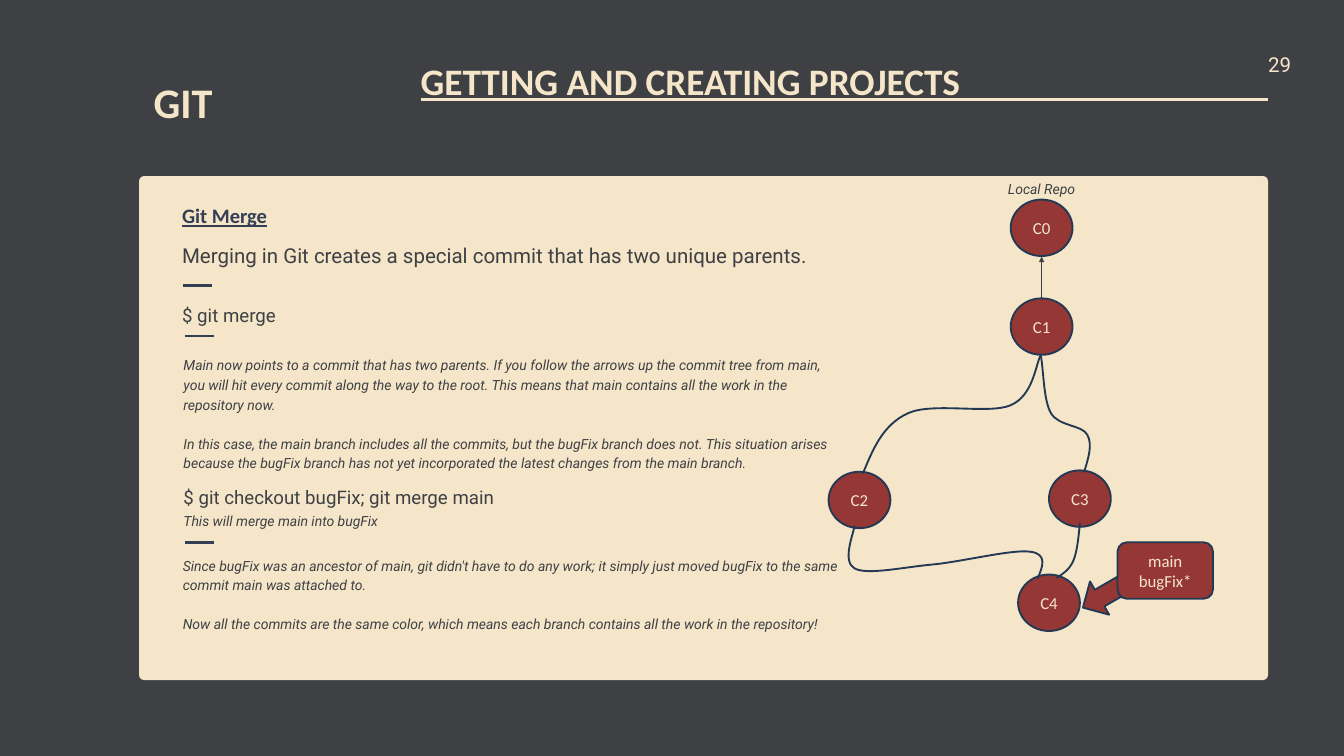
from dataclasses import dataclass

from lxml.etree import SubElement
from pptx import Presentation
from pptx.dml.color import RGBColor
from pptx.enum.shapes import MSO_CONNECTOR, MSO_SHAPE
from pptx.enum.text import MSO_ANCHOR, MSO_AUTO_SIZE, PP_ALIGN
from pptx.oxml.ns import qn
from pptx.util import Inches, Pt


@dataclass(frozen=True)
class Theme:
    dark: str = "3E4044"
    cream: str = "F5E6CA"
    navy: str = "343F56"
    outline: str = "233953"
    red: str = "953735"
    heading_font: str = "Calibri"
    body_font: str = "Roboto"
    topic_size: float = 45.1
    title_size: float = 40
    lead_size: float = 22
    command_size: float = 20
    node_size: float = 18
    note_size: float = 15


@dataclass(frozen=True)
class Box:
    """An area of the slide, in inches; inner() is relative to its corner."""
    left: float
    top: float
    width: float
    height: float

    def inner(self, x, y, width, height):
        return Box(self.left + x, self.top + y, width, height)

    def point(self, x, y):
        return Inches(self.left + x), Inches(self.top + y)

    @property
    def lengths(self):
        return [Inches(v) for v in (self.left, self.top, self.width, self.height)]


THEME = Theme()
PANEL = Box(2.07, 2.62, 16.8, 7.5)
NODE_WIDTH, NODE_HEIGHT = 0.92, 0.84
DASH_WIDTH = 0.43


def color(code):
    return RGBColor.from_string(code)


def write(frame, *lines, size, ink=THEME.dark, font=THEME.body_font, bold=False,
          italic=False, underline=False, align=PP_ALIGN.LEFT, spacing=None, gap=0):
    """Fill a text frame, one paragraph a line, with gap points between them."""
    frame.word_wrap = True
    for index, line in enumerate(lines):
        paragraph = frame.paragraphs[0] if index == 0 else frame.add_paragraph()
        paragraph.alignment = align
        if spacing:
            paragraph.line_spacing = Pt(spacing)
        paragraph.space_before = Pt(gap if index else 0)
        run = paragraph.add_run()
        run.text = line
        run.font.name, run.font.size = font, Pt(size)
        run.font.bold, run.font.italic, run.font.underline = bold, italic, underline
        run.font.color.rgb = color(ink)


def clear_margins(frame):
    frame.margin_left = frame.margin_top = frame.margin_right = frame.margin_bottom = 0
    frame.vertical_anchor = MSO_ANCHOR.TOP
    frame.auto_size = MSO_AUTO_SIZE.NONE


def add_text(slide, box, *lines, **text_format):
    frame = slide.shapes.add_textbox(*box.lengths).text_frame
    clear_margins(frame)
    write(frame, *lines, **text_format)


def add_line(slide, start, end, ink, width, arrow=False):
    line = slide.shapes.add_connector(MSO_CONNECTOR.STRAIGHT, *start, *end)
    line.line.color.rgb = color(ink)
    line.line.width = Pt(width)
    if arrow:
        SubElement(line.line._get_or_add_ln(), qn("a:tailEnd"), type="triangle")
    SubElement(line._element.spPr, qn("a:effectLst"))


def add_filled(slide, kind, box, fill, outline=None):
    shape = slide.shapes.add_shape(kind, *box.lengths)
    shape.shadow.inherit = False
    shape.fill.solid()
    shape.fill.fore_color.rgb = color(fill)
    if outline:
        shape.line.color.rgb = color(outline)
        shape.line.width = Pt(2)
    else:
        shape.line.fill.background()
    return shape


def add_curve(slide, box, points):
    """Draw a start point followed by Bezier triples: two controls and an end."""
    start, *rest = [box.point(*point) for point in points]
    builder = slide.shapes.build_freeform(*start)
    builder.add_line_segments(rest, close=False)
    curve = builder.convert_to_shape()
    path = curve._element.find(".//" + qn("a:path"))
    segments = path.findall(qn("a:lnTo"))
    for first in range(0, len(segments), 3):
        bezier = SubElement(path, qn("a:cubicBezTo"))
        for segment in segments[first:first + 3]:
            bezier.append(segment[0])
            path.remove(segment)
    curve.shadow.inherit = False
    curve.fill.background()
    curve.line.color.rgb = color(THEME.outline)
    curve.line.width = Pt(2)


def draw_header(slide, box):
    heading = dict(ink=THEME.cream, font=THEME.heading_font, bold=True)
    title = slide.shapes.title
    title.left, title.top, title.width, title.height = box.inner(4.19, 0.06, 12.61, 0.66).lengths
    clear_margins(title.text_frame)
    write(title.text_frame, "GETTING AND CREATING PROJECTS",
          size=THEME.title_size, spacing=55.1, **heading)
    add_line(slide, box.point(4.19, 0.77), box.point(16.8, 0.77), THEME.cream, 3)
    add_text(slide, box.inner(0, 0.3, 1.31, 0.88), "GIT", size=THEME.topic_size,
             spacing=63.2, align=PP_ALIGN.CENTER, **heading)
    add_text(slide, box.inner(16.8, 0, 0.38, 0.4), "29",
             size=THEME.lead_size, spacing=30.8, ink=THEME.cream)


def draw_lesson(slide, box):
    lead = dict(size=THEME.lead_size, spacing=30.8)
    command = dict(size=THEME.command_size, spacing=28, align=PP_ALIGN.JUSTIFY)
    note = dict(size=THEME.note_size, spacing=21, italic=True, gap=21)

    add_text(slide, box.inner(0, 0.34, 3.79, 0.37), "Git Merge", ink=THEME.navy,
             font=THEME.heading_font, bold=True, underline=True, **lead)
    add_text(slide, box.inner(0, 0.93, 15.37, 0.4),
             "Merging in Git creates a special commit that has two unique parents.", **lead)
    add_text(slide, box.inner(0, 1.85, 3.79, 0.36), "$ git merge", **command)
    add_text(slide, box.inner(0.02, 2.65, 9.79, 1.75),
             "Main now points to a commit that has two parents. If you follow the arrows up "
             "the commit tree from main, you will hit every commit along the way to the root. "
             "This means that main contains all the work in the repository now.",
             "In this case, the main branch includes all the commits, but the bugFix branch "
             "does not. This situation arises because the bugFix branch has not yet "
             "incorporated the latest changes from the main branch.", **note)
    add_text(slide, box.inner(0.02, 4.56, 4.66, 0.36),
             "$ git checkout bugFix; git merge main", **command)
    add_text(slide, box.inner(0.02, 4.97, 9.79, 0.27),
             "This will merge main into bugFix", **note)
    add_text(slide, box.inner(0.01, 5.63, 9.79, 1.16),
             "Since bugFix was an ancestor of main, git didn't have to do any work; it simply "
             "just moved bugFix to the same commit main was attached to.",
             "Now all the commits are the same color, which means each branch contains all "
             "the work in the repository!", **note)
    for x, y in ((0.01, 1.63), (0.04, 2.38), (0.04, 5.45)):
        add_line(slide, box.point(x, y), box.point(x + DASH_WIDTH, y), THEME.navy, 3)


def draw_commit_graph(slide, box):
    label = dict(size=THEME.node_size, ink=THEME.cream, font=THEME.heading_font,
                 align=PP_ALIGN.CENTER)
    commits = {"C0": (2.71, 0.35), "C1": (2.71, 1.82), "C2": (0, 4.4),
               "C3": (3.28, 4.38), "C4": (2.82, 5.93)}
    branches = {
        "C2 to C1": [(0.51, 4.43), (0.66, 4.06), (0.81, 3.7), (1.18, 3.53),
                     (1.55, 3.36), (2.39, 3.55), (2.71, 3.41),
                     (3.04, 3.27), (3.08, 2.82), (3.15, 2.68)],
        "C3 to C1": [(3.8, 4.41), (3.87, 4.2), (3.93, 3.99), (3.85, 3.85),
                     (3.77, 3.7), (3.43, 3.73), (3.31, 3.53),
                     (3.19, 3.33), (3.2, 2.81), (3.15, 2.64)],
        "C4 to C3": [(3.39, 5.98), (3.49, 5.92), (3.58, 5.86), (3.64, 5.73),
                     (3.7, 5.59), (3.72, 5.37), (3.74, 5.16)],
        "C4 to C2": [(3.11, 5.99), (3.19, 5.81), (3.26, 5.62), (3, 5.59),
                     (2.74, 5.55), (1.98, 5.74), (1.55, 5.78),
                     (1.11, 5.82), (0.58, 5.94), (0.39, 5.84),
                     (0.2, 5.74), (0.36, 5.35), (0.39, 5.2)],
    }
    add_text(slide, box.inner(2.34, 0.02, 1.66, 0.27), "Local Repo",
             size=THEME.note_size, spacing=21, italic=True, align=PP_ALIGN.CENTER)
    for name, (x, y) in commits.items():
        commit = add_filled(slide, MSO_SHAPE.OVAL, box.inner(x, y, NODE_WIDTH, NODE_HEIGHT),
                            THEME.red, THEME.outline)
        write(commit.text_frame, name, **label)
    add_line(slide, box.point(3.17, 1.82), box.point(3.17, 1.2), THEME.dark, 0.75, arrow=True)
    for points in branches.values():
        add_curve(slide, box, points)
    pointer = add_filled(slide, MSO_SHAPE.RIGHT_ARROW, box.inner(3.73, 5.93, 0.83, 0.57),
                         THEME.red, THEME.outline)
    pointer.rotation = 150.1
    heads = add_filled(slide, MSO_SHAPE.ROUNDED_RECTANGLE, box.inner(4.3, 5.45, 1.42, 0.84),
                       THEME.red, THEME.outline)
    write(heads.text_frame, "main", "bugFix*", **label)


def main():
    deck = Presentation()
    deck.slide_width, deck.slide_height = Inches(20), Inches(11.25)
    slide = deck.slides.add_slide(deck.slide_layouts[5])
    slide.background.fill.solid()
    slide.background.fill.fore_color.rgb = color(THEME.dark)

    panel = add_filled(slide, MSO_SHAPE.ROUNDED_RECTANGLE, PANEL, THEME.cream)
    panel.adjustments[0] = 0.01
    draw_header(slide, Box(2.07, 0.71, 17.18, 1.18))
    draw_lesson(slide, PANEL.inner(0.64, 0, 9.8, 7.5))
    draw_commit_graph(slide, PANEL.inner(10.26, 0, 6, 7.5))
    deck.save("out.pptx")


if __name__ == "__main__":
    main()
